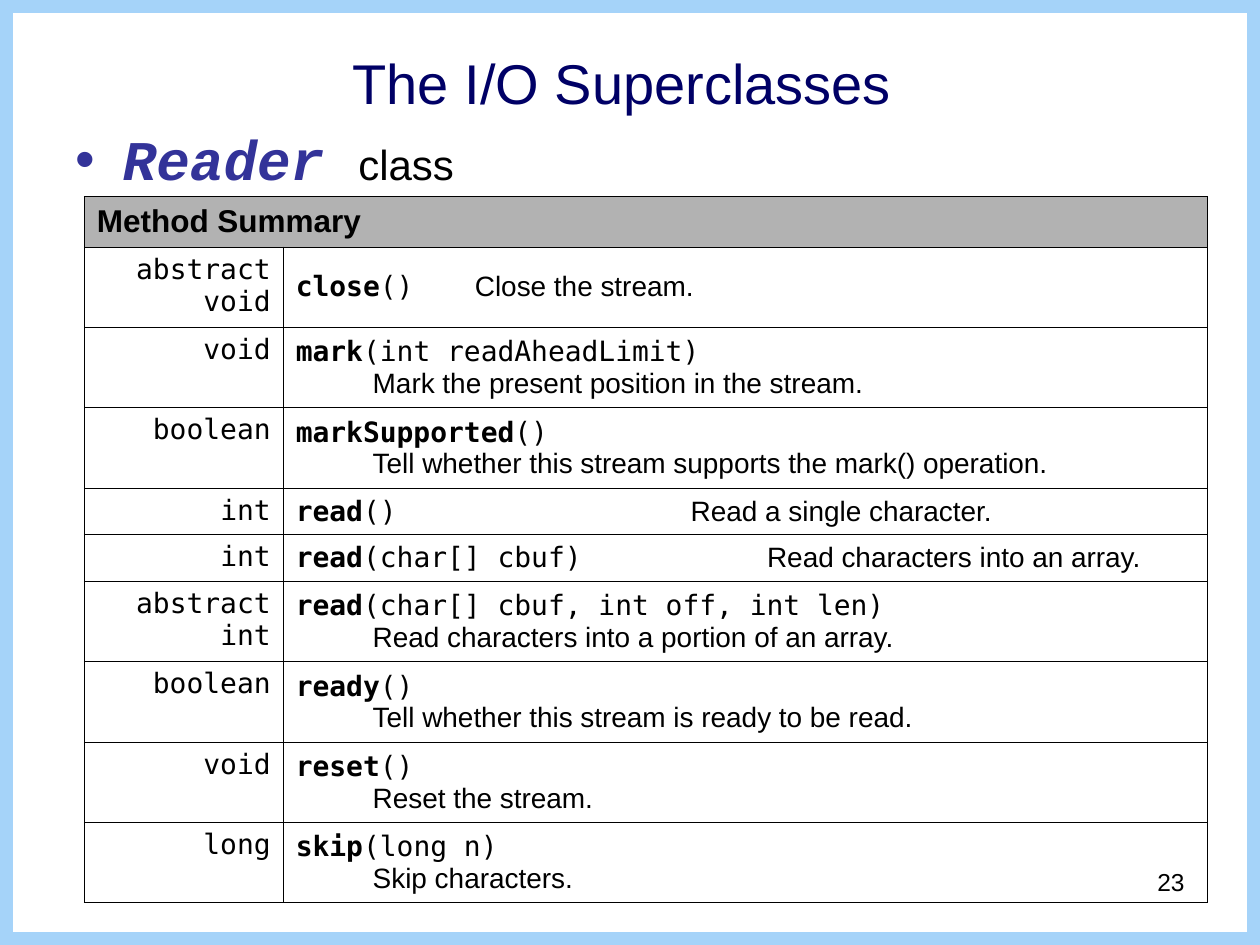
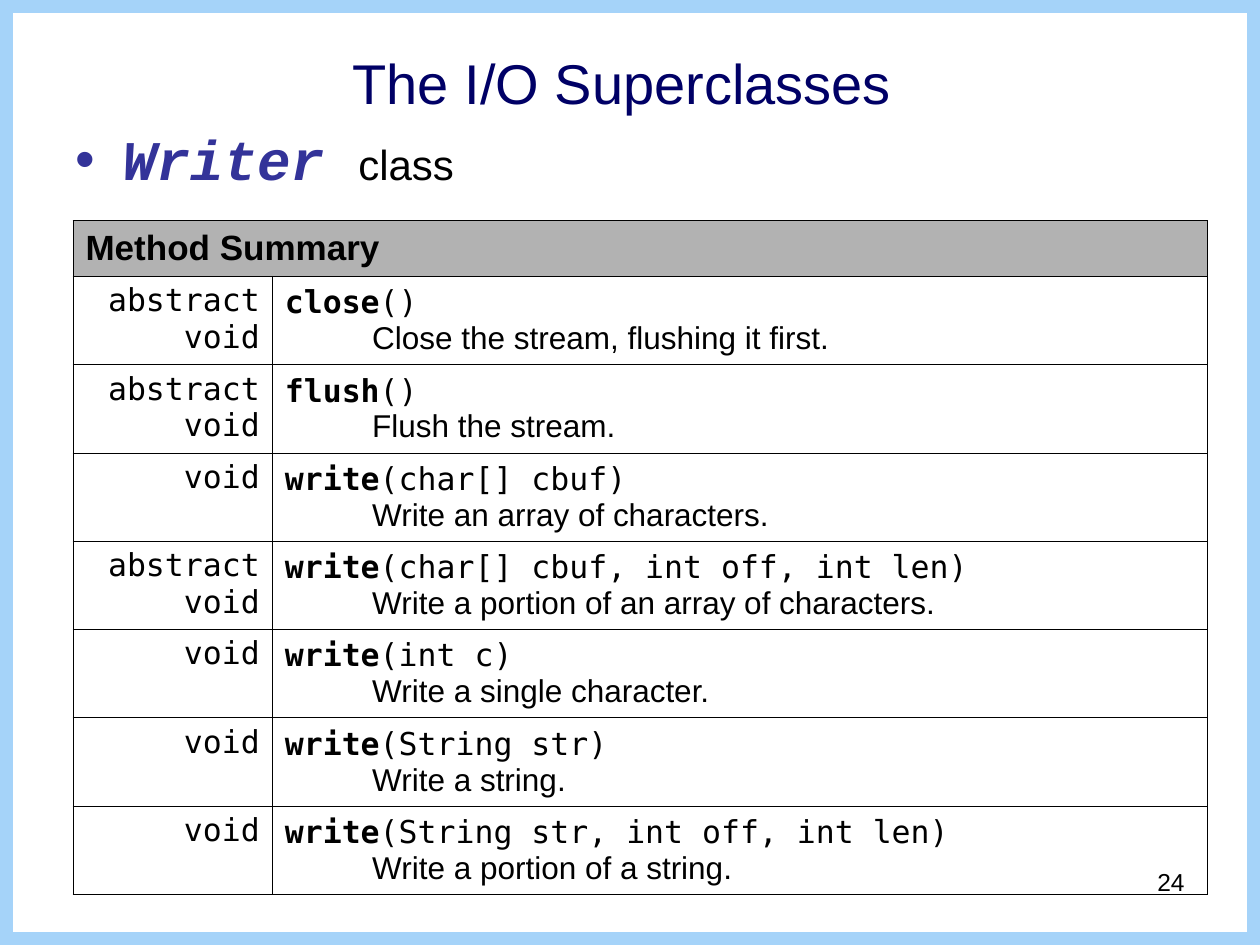
from collections import namedtuple

from lxml import etree
from pptx import Presentation
from pptx import util as u
from pptx.dml.color import RGBColor
from pptx.enum import shapes, text
from pptx.oxml.ns import qn

# Shared style
NAVY, INDIGO, BLACK = "000066", "333399", "000000"
WHITE, GREY, SKY = "FFFFFF", "B2B2B2", "A5D3F9"
SANS, CODE, CLASS_FONT = "Arial", "DejaVu Sans Mono", "Courier New"
WIDTH, HEIGHT = u.Cm(25.4), u.Cm(19.05)

# A method with a gap (cm) has its description on the line of its signature
Method = namedtuple("Method", "returns name args description gap", defaults=[None])

# Where a table stands and how large its parts are: lengths in cm, sizes in points
Layout = namedtuple("Layout", "left top columns header tall short size indent")

READER_LAYOUT = Layout(1.7, 3.96, (4.01, 18.62), 1.02, 1.62, 0.94, 16, 1.55)
READER_METHODS = [
    Method("abstract void", "close", "()", "Close the stream.", 3.61),
    Method("void", "mark", "(int readAheadLimit)",
           "Mark the present position in the stream."),
    Method("boolean", "markSupported", "()",
           "Tell whether this stream supports the mark() operation."),
    Method("int", "read", "()", "Read a single character.", 7.96),
    Method("int", "read", "(char[] cbuf)", "Read characters into an array.", 9.5),
    Method("abstract int", "read", "(char[] cbuf, int off, int len)",
           "Read characters into a portion of an array."),
    Method("boolean", "ready", "()", "Tell whether this stream is ready to be read."),
    Method("void", "reset", "()", "Reset the stream."),
    Method("long", "skip", "(long n)", "Skip characters."),
]

WRITER_LAYOUT = Layout(1.47, 4.45, (4.02, 18.85), 1.12, 1.78, 1.04, 18, 1.76)
WRITER_METHODS = [
    Method("abstract void", "close", "()", "Close the stream, flushing it first."),
    Method("abstract void", "flush", "()", "Flush the stream."),
    Method("void", "write", "(char[] cbuf)", "Write an array of characters."),
    Method("abstract void", "write", "(char[] cbuf, int off, int len)",
           "Write a portion of an array of characters."),
    Method("void", "write", "(int c)", "Write a single character."),
    Method("void", "write", "(String str)", "Write a string."),
    Method("void", "write", "(String str, int off, int len)",
           "Write a portion of a string."),
]


def rgb(value):
    return RGBColor.from_string(value)


def style(font, name, size, color=BLACK, bold=False, italic=False):
    font.name, font.size = name, u.Pt(size)
    font.color.rgb = rgb(color)
    font.bold, font.italic = bold, italic


def add_run(paragraph, words, **look):
    run = paragraph.add_run()
    run.text = words
    if look:
        style(run.font, **look)
    return run


def place(shape, left, top, width, height):
    shape.left, shape.top = u.Cm(left), u.Cm(top)
    shape.width, shape.height = u.Cm(width), u.Cm(height)


# Slide parts
def add_frame(slide):
    frame = slide.shapes.add_shape(shapes.MSO_SHAPE.RECTANGLE, 0, 0, WIDTH, HEIGHT)
    frame.shadow.inherit = False
    frame.fill.background()
    frame.line.color.rgb = rgb(SKY)
    frame.line.width = u.Pt(15)
    slide.shapes._spTree.insert(2, frame._element)  # behind the placeholders


def set_title(slide, words):
    title = slide.shapes.title
    place(title, 1.27, 0.76, 22.86, 1.78)
    title.text_frame.auto_size = text.MSO_AUTO_SIZE.NONE
    heading = title.text_frame.paragraphs[0]
    heading.alignment = text.PP_ALIGN.CENTER
    style(heading.font, SANS, 32, NAVY)
    add_run(heading, words)


def set_class_name(slide, class_name):
    body = slide.placeholders[1]
    place(body, 1.27, 2.54, 22.86, 1.47)
    body.text_frame.auto_size = text.MSO_AUTO_SIZE.NONE
    bullet = body.text_frame.paragraphs[0]
    bullet.line_spacing, bullet.space_before = 0.9, u.Pt(6)
    props = bullet._p.get_or_add_pPr()
    props.set("marL", str(u.Cm(0.95)))
    props.set("indent", str(u.Cm(-0.95)))
    bullet_color = etree.SubElement(props, qn("a:buClr"))
    etree.SubElement(bullet_color, qn("a:srgbClr"), val=INDIGO)
    etree.SubElement(props, qn("a:buChar"), char="•")
    add_run(bullet, class_name + " ", name=CLASS_FONT, size=32, color=INDIGO,
            bold=True, italic=True)
    add_run(bullet, "class", name=SANS, size=24)


def add_page_number(slide, number):
    box = slide.shapes.add_textbox(u.Cm(18.2), u.Cm(17.35), u.Cm(5.93), u.Cm(1.32))
    box.text_frame.word_wrap = True
    page = box.text_frame.paragraphs[0]
    page.alignment = text.PP_ALIGN.RIGHT
    style(page.font, SANS, 14)
    add_run(page, str(number))


# Method table
def format_cell(cell, fill):
    props = cell._tc.get_or_add_tcPr()
    for side in ("lnL", "lnR", "lnT", "lnB"):
        border = etree.SubElement(props, qn("a:" + side), w=str(u.Pt(0.45)))
        solid = etree.SubElement(border, qn("a:solidFill"))
        etree.SubElement(solid, qn("a:srgbClr"), val=BLACK)
    cell.fill.solid()
    cell.fill.fore_color.rgb = rgb(fill)
    cell.vertical_anchor = text.MSO_ANCHOR.MIDDLE


def fill_return_type(cell, returns, size):
    format_cell(cell, WHITE)
    cell.vertical_anchor = text.MSO_ANCHOR.TOP
    paragraph = cell.text_frame.paragraphs[0]
    paragraph.alignment = text.PP_ALIGN.RIGHT
    style(paragraph.font, CODE, size)
    add_run(paragraph, returns)


def fill_method(cell, method, layout):
    format_cell(cell, WHITE)
    signature = cell.text_frame.paragraphs[0]
    add_run(signature, method.name, name=CODE, size=layout.size, bold=True)
    add_run(signature, method.args, name=CODE, size=layout.size)
    if method.gap:
        tabs = etree.SubElement(signature._p.get_or_add_pPr(), qn("a:tabLst"))
        etree.SubElement(tabs, qn("a:tab"), pos=str(u.Cm(method.gap)), algn="l")
        add_run(signature, "\t" + method.description, name=SANS, size=layout.size)
    else:
        description = cell.text_frame.add_paragraph()
        description._p.get_or_add_pPr().set("marL", str(u.Cm(layout.indent)))
        style(description.font, SANS, layout.size)
        add_run(description, method.description)


def add_method_table(slide, methods, layout):
    # Only a one-line description beside a one-word type fits a short row
    heights = [layout.header] + [
        layout.short if m.gap and " " not in m.returns else layout.tall
        for m in methods]
    table = slide.shapes.add_table(
        len(heights), 2, u.Cm(layout.left), u.Cm(layout.top),
        u.Cm(sum(layout.columns)), u.Cm(sum(heights))).table
    table.first_row = table.horz_banding = False
    for column, width in zip(table.columns, layout.columns):
        column.width = u.Cm(width)
    for row, height in zip(table.rows, heights):
        row.height = u.Cm(height)

    header, header_end = table.rows[0].cells
    header.merge(header_end)
    for cell in (header, header_end):
        format_cell(cell, GREY)
    summary = header.text_frame.paragraphs[0]
    style(summary.font, SANS, layout.size + 2, bold=True)
    add_run(summary, "Method Summary")

    for number, method in enumerate(methods, start=1):
        fill_return_type(table.cell(number, 0), method.returns, layout.size)
        fill_method(table.cell(number, 1), method, layout)


def add_class_slide(prs, class_name, methods, layout, number):
    slide = prs.slides.add_slide(prs.slide_layouts[1])
    add_frame(slide)
    set_title(slide, "The I/O Superclasses ")
    set_class_name(slide, class_name)
    add_method_table(slide, methods, layout)
    add_page_number(slide, number)


def main():
    prs = Presentation()
    prs.slide_width, prs.slide_height = WIDTH, HEIGHT
    add_class_slide(prs, "Reader", READER_METHODS, READER_LAYOUT, 23)
    add_class_slide(prs, "Writer", WRITER_METHODS, WRITER_LAYOUT, 24)
    prs.save("out.pptx")


if __name__ == "__main__":
    main()
